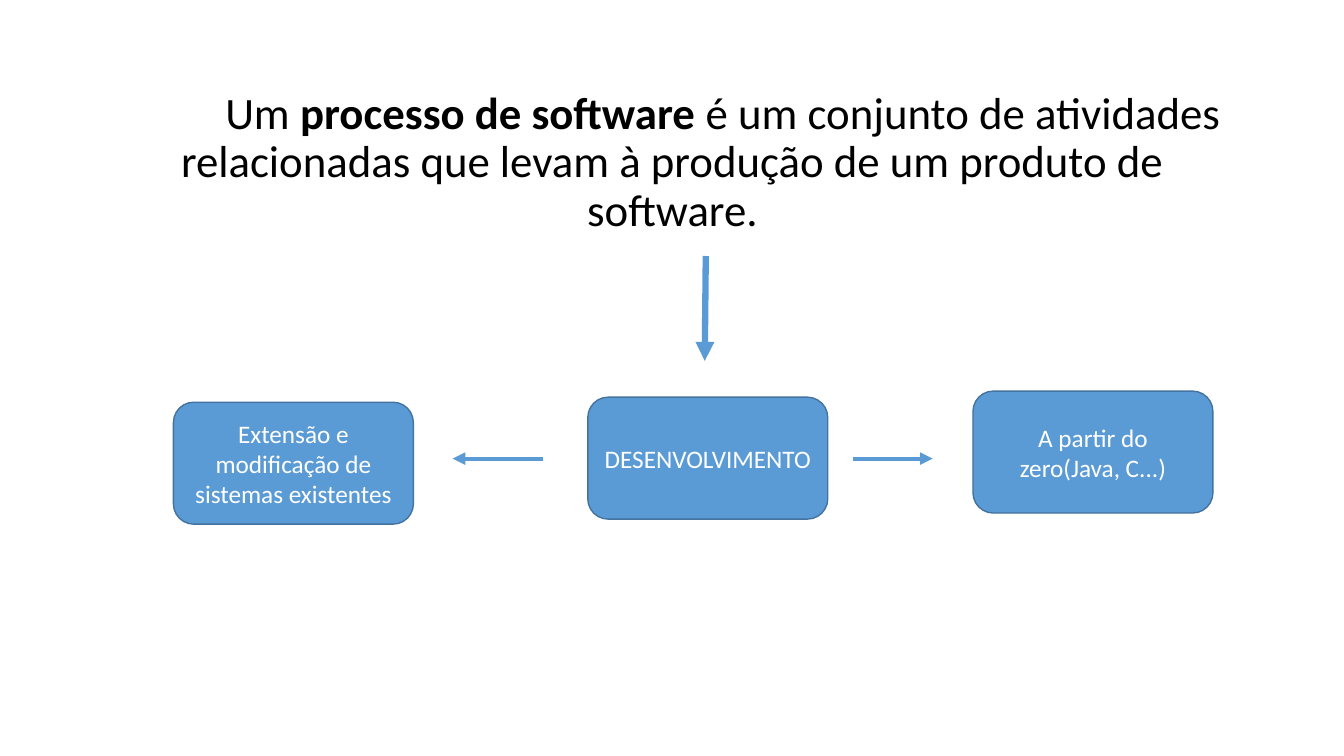
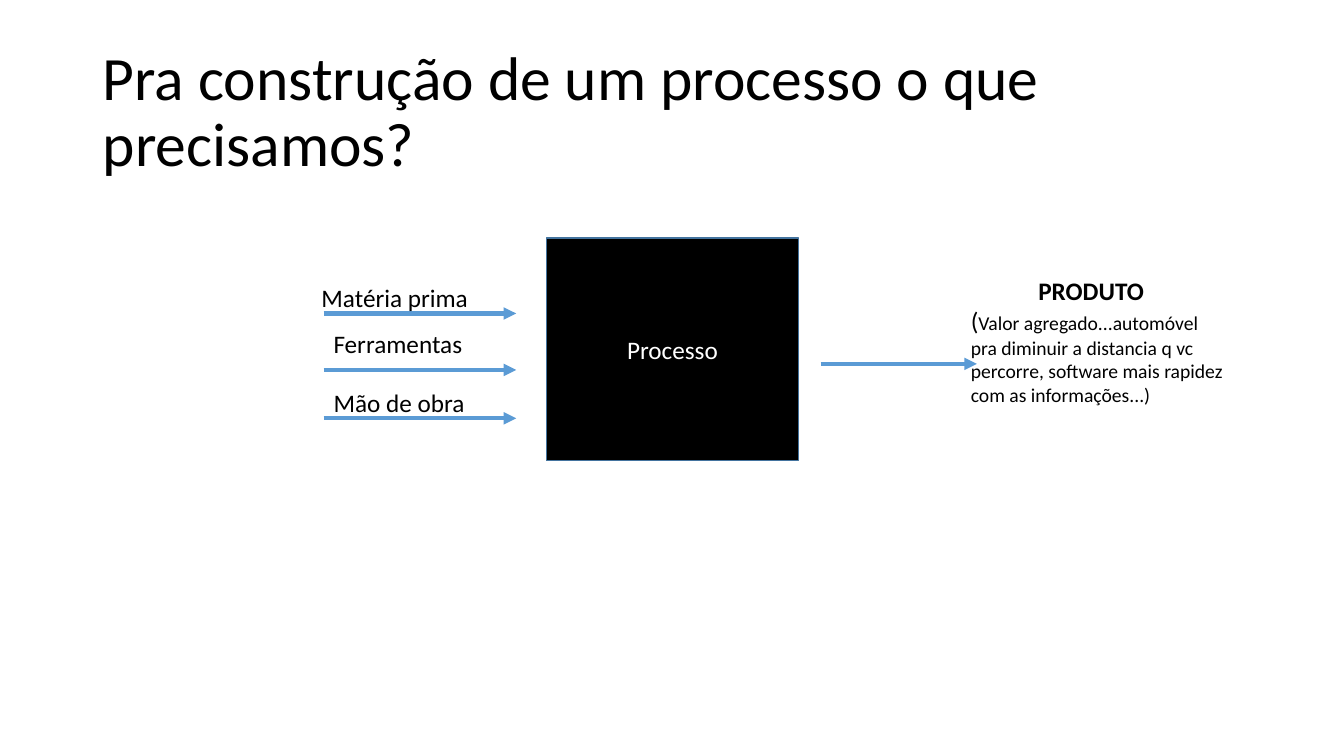
from dataclasses import dataclass

from lxml import etree
from pptx import Presentation
from pptx.dml.color import RGBColor
from pptx.enum.shapes import MSO_CONNECTOR, MSO_SHAPE
from pptx.enum.text import MSO_ANCHOR, MSO_AUTO_SIZE, PP_ALIGN
from pptx.oxml.ns import qn
from pptx.presentation import Presentation as Deck
from pptx.shapes.base import BaseShape
from pptx.slide import Slide
from pptx.text.text import TextFrame
from pptx.util import Emu, Pt

EMU_PER_PX = 9144
FONT = "Calibri"
COLORS = {"text": "000000", "light": "FFFFFF", "accent": "5B9BD5", "outline": "43739E"}
LEFT, CENTER = PP_ALIGN.LEFT, PP_ALIGN.CENTER
TOP, MIDDLE = MSO_ANCHOR.TOP, MSO_ANCHOR.MIDDLE
FIXED, GROW = MSO_AUTO_SIZE.NONE, MSO_AUTO_SIZE.SHAPE_TO_FIT_TEXT
STRAIGHT = MSO_CONNECTOR.STRAIGHT
ROUNDED, RECTANGLE = MSO_SHAPE.ROUNDED_RECTANGLE, MSO_SHAPE.RECTANGLE
TITLE_ONLY, TITLE_AND_CONTENT = 5, 1
BOX_WIDTH, BOX_HEIGHT = 238, 121


@dataclass(frozen=True)
class Area:
    left: int
    top: int
    width: int
    height: int

    def emu(self) -> list[Emu]:
        return [px(n) for n in (self.left, self.top, self.width, self.height)]


@dataclass(frozen=True)
class Piece:
    text: str
    size: int = 18
    bold: bool = False
    color: str = "text"


@dataclass(frozen=True)
class Line:
    pieces: tuple[Piece, ...]
    align: PP_ALIGN = LEFT
    indent: int = 0


@dataclass(frozen=True)
class Box:
    text: str
    area: Area
    kind: MSO_SHAPE = ROUNDED
    fill: str = "accent"


@dataclass(frozen=True)
class Arrow:
    start: tuple[int, int]
    end: tuple[int, int]
    weight: float = 3


@dataclass(frozen=True)
class Label:
    area: Area
    lines: tuple[Line, ...]


DEFINITION = Line(
    (
        Piece("Um ", 32),
        Piece("processo de software", 32, True),
        Piece(" é um conjunto de atividades relacionadas que levam "
              "à produção de um produto de software.", 32),
    ),
    CENTER,
    100,
)
DEVELOPMENT_BOXES = [
    Box("DESENVOLVIMENTO", Area(583, 394, BOX_WIDTH, BOX_HEIGHT)),
    Box("A partir do zero(Java, C...)", Area(965, 388, BOX_WIDTH, BOX_HEIGHT)),
    Box("Extensão e modificação de sistemas existentes",
        Area(172, 399, BOX_WIDTH, BOX_HEIGHT)),
]
DEVELOPMENT_ARROWS = [
    Arrow((700, 254), (699, 358), 4.5),
    Arrow((846, 455), (925, 455)),
    Arrow((539, 455), (449, 455)),
]
QUESTION = Line((Piece("Pra construção de um processo o que precisamos?", 44),))
PROCESS_BOX = Box("Processo", Area(542, 236, 250, 221), RECTANGLE, "text")
PROCESS_ARROWS = [Arrow((321, y), (512, y)) for y in (311, 367, 415)]
PROCESS_ARROWS.append(Arrow((814, 361), (969, 361)))
PROCESS_LABELS = [
    Label(Area(309, 275, 174, 40), (Line((Piece("Matéria prima"),)),)),
    Label(Area(321, 321, 157, 40), (Line((Piece("Ferramentas"),)),)),
    Label(Area(321, 379, 157, 40), (Line((Piece("Mão de obra"),)),)),
    Label(
        Area(953, 268, 272, 141),
        (
            Line((Piece("PRODUTO", bold=True),), indent=67),
            Line((
                Piece("("),
                Piece("Valor agregado...automóvel pra diminuir a distancia q vc percorre, "
                      "software mais rapidez com as informações...)", 14),
            )),
        ),
    ),
]


def px(length: int) -> Emu:
    """Turn px into EMU."""
    return Emu(length * EMU_PER_PX)


def color(name: str) -> RGBColor:
    """Look up a named colour."""
    return RGBColor.from_string(COLORS[name])


def write(frame: TextFrame, lines: tuple[Line, ...], anchor: MSO_ANCHOR) -> None:
    """Fill a text frame with formatted lines."""
    frame.word_wrap = True
    frame.vertical_anchor = anchor
    for index, line in enumerate(lines):
        paragraph = frame.add_paragraph() if index else frame.paragraphs[0]
        paragraph.alignment = line.align
        properties = paragraph._p.get_or_add_pPr()
        properties.set("marL", "0")
        properties.set("indent", str(px(line.indent)))
        for piece in line.pieces:
            run = paragraph.add_run()
            run.text = piece.text
            run.font.name = FONT
            run.font.size = Pt(piece.size)
            run.font.bold = piece.bold
            run.font.color.rgb = color(piece.color)


def place(shape: BaseShape, area: Area) -> None:
    """Move and size a shape."""
    shape.left, shape.top, shape.width, shape.height = area.emu()


def fill_placeholder(shape: BaseShape, area: Area, line: Line,
                     anchor: MSO_ANCHOR, space_before: int) -> None:
    """Write one unbulleted line in a moved placeholder."""
    place(shape, area)
    write(shape.text_frame, (line,), anchor)
    shape.text_frame.auto_size = FIXED
    paragraph = shape.text_frame.paragraphs[0]
    paragraph.line_spacing = 0.9
    paragraph.space_before = Pt(space_before)
    etree.SubElement(paragraph._p.get_or_add_pPr(), qn("a:buNone"))


def add_box(slide: Slide, box: Box) -> None:
    """Draw a filled box with centred text."""
    shape = slide.shapes.add_shape(box.kind, *box.area.emu())
    shape.shadow.inherit = False
    shape.fill.solid()
    shape.fill.fore_color.rgb = color(box.fill)
    shape.line.color.rgb = color("outline")
    shape.line.width = Pt(1)
    text = Line((Piece(box.text, color="light"),), CENTER)
    write(shape.text_frame, (text,), MIDDLE)


def add_arrow(slide: Slide, arrow: Arrow) -> None:
    """Draw a straight line with a triangle at its end."""
    points = [px(n) for n in (*arrow.start, *arrow.end)]
    connector = slide.shapes.add_connector(STRAIGHT, *points)
    connector.line.color.rgb = color("accent")
    connector.line.width = Pt(arrow.weight)
    etree.SubElement(connector.line._get_or_add_ln(), qn("a:tailEnd"), type="triangle")
    etree.SubElement(connector._element.spPr, qn("a:effectLst"))


def add_label(slide: Slide, label: Label) -> None:
    """Add a text box."""
    shape = slide.shapes.add_textbox(*label.area.emu())
    write(shape.text_frame, label.lines, TOP)
    shape.text_frame.auto_size = GROW


def add_slide(presentation: Deck, layout: int) -> Slide:
    """Add a slide with a given layout."""
    return presentation.slides.add_slide(presentation.slide_layouts[layout])


def build_definition(presentation: Deck) -> None:
    """Build the slide that defines a software process."""
    slide = add_slide(presentation, TITLE_AND_CONTENT)
    title = slide.shapes.title
    title._element.getparent().remove(title._element)
    fill_placeholder(slide.placeholders[1], Area(92, 85, 1150, 591), DEFINITION, TOP, 10)
    for arrow in DEVELOPMENT_ARROWS:
        add_arrow(slide, arrow)
    for box in DEVELOPMENT_BOXES:
        add_box(slide, box)


def build_process(presentation: Deck) -> None:
    """Build the slide that shows what a process needs and yields."""
    slide = add_slide(presentation, TITLE_ONLY)
    fill_placeholder(slide.shapes.title, Area(92, 40, 1150, 145), QUESTION, MIDDLE, 0)
    add_box(slide, PROCESS_BOX)
    for arrow in PROCESS_ARROWS:
        add_arrow(slide, arrow)
    for label in PROCESS_LABELS:
        add_label(slide, label)


def main() -> None:
    """Build and save the presentation."""
    presentation = Presentation()
    presentation.slide_width, presentation.slide_height = px(1333), px(750)
    build_definition(presentation)
    build_process(presentation)
    presentation.save("out.pptx")


if __name__ == "__main__":
    main()
